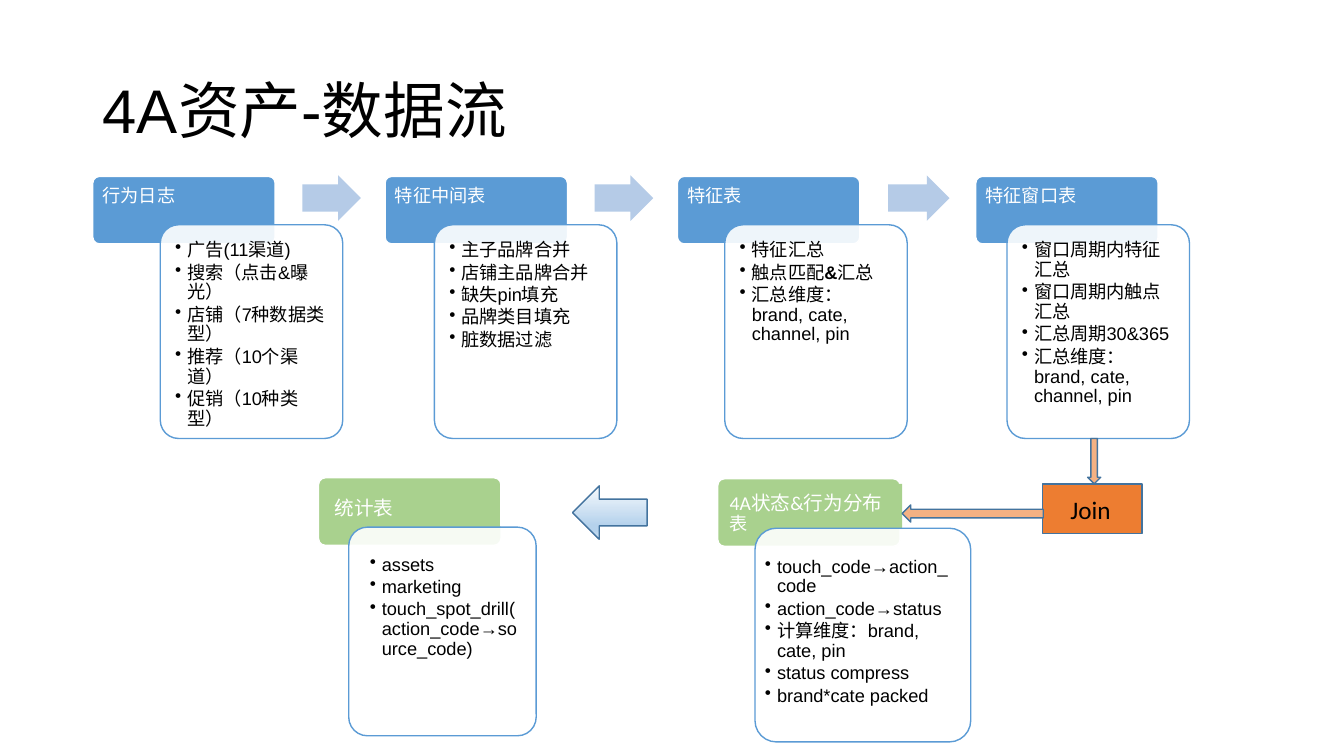
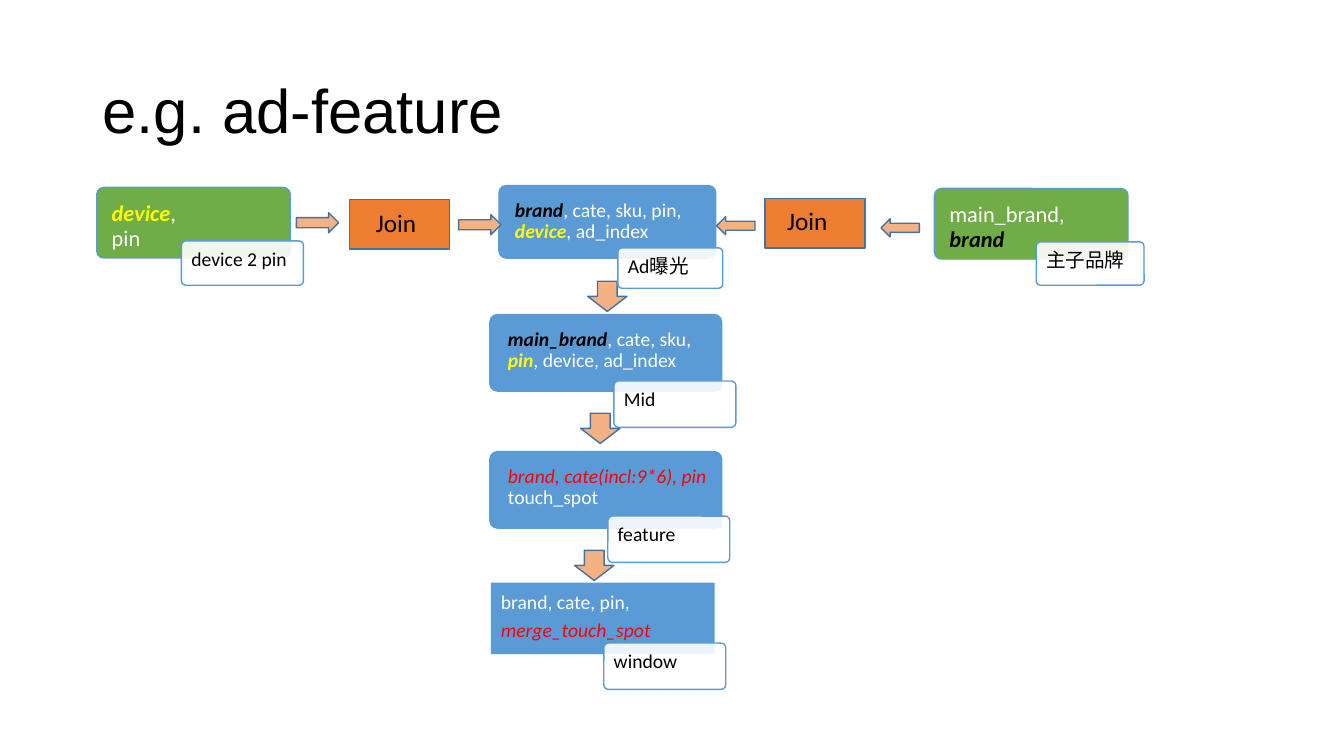
from dataclasses import dataclass, field
from typing import NamedTuple

from lxml import etree
from pptx import Presentation
from pptx import util as u
from pptx.dml import color
from pptx.enum import shapes, text
from pptx.oxml import ns

CELL = u.Inches(0.1)
COLUMNS, ROWS = 133.33, 75
FORM = shapes.MSO_SHAPE
COLORS = {
    "white": "FFFFFF", "black": "000000", "yellow": "FFFF00", "red": "FF0000",
    "blue": "5B9BD5", "green": "70AD47", "mint": "A9D18E", "pale": "B5CBE7",
    "orange": "ED7D31", "peach": "F4B183", "steel": "43739E",
    "ice": "F7FAFD", "sky": "B5D2EC", "mist": "CEE1F2",
}
GLAZE = ((0, "ice"), (74, "sky"), (83, "sky"), (100, "mist"))
KEY = {"bold": True, "italic": True}
ITALIC = {"italic": True}
HEAD_FRAME = {"margin_top": CELL}
PANEL_FRAME = {"margin_top": CELL, "margin_bottom": CELL}


class Box(NamedTuple):
    left: float
    top: float
    width: float
    height: float

    def adjusted(self, left: float, top: float, width: float, height: float) -> "Box":
        return Box(self.left + left, self.top + top, self.width + width, self.height + height)

    def lengths(self) -> list[int]:
        return [round(cells * CELL) for cells in self]


class Run(NamedTuple):
    words: str
    tone: str = "white"
    format: dict = {}


class Style(NamedTuple):
    size: float
    font: str = "Calibri"
    spacing: float = 0.9
    gap: float = 0
    bullet: bool = False


Paragraph = list[Run]
TITLE = Style(44, "Arial")
LOG_HEAD = Style(13, gap=0.35)
TABLE_HEAD = Style(14, gap=0.35)
KEY_HEAD = Style(16, gap=0.35)
BULLETS = Style(13, "Arial", gap=0.15, bullet=True)
TAG = Style(14, spacing=1)
JOIN = Style(18, spacing=1)


@dataclass
class Card:
    head: Box
    label: Box
    tone: str
    title: list[Paragraph]
    title_style: Style
    panel: Box
    body: Box
    lines: list[Paragraph]
    body_style: Style
    edge: str = "white"
    backed: bool = True
    label_filled: bool = True


@dataclass
class Arrow:
    form: shapes.MSO_SHAPE
    box: Box
    tone: str = "peach"
    edge: str | None = "steel"
    shaft: float = 0.5
    stops: tuple = field(default_factory=tuple)


@dataclass
class Join:
    box: Box
    text_left: float
    text_top: float


def rgb(tone: str) -> color.RGBColor:
    return color.RGBColor.from_string(COLORS[tone])


def draw_form(slide, form, box: Box, tone: str, edge: str | None = None, adjust=(), opacity=100):
    shape = slide.shapes.add_shape(form, *box.lengths())
    shape.shadow.inherit = False
    shape.fill.solid()
    shape.fill.fore_color.rgb = rgb(tone)
    if opacity < 100:
        paint = next(shape.element.iter(ns.qn("a:srgbClr")))
        etree.SubElement(paint, ns.qn("a:alpha"), val=str(opacity * 1000))
    if edge:
        shape.line.color.rgb = rgb(edge)
        shape.line.width = u.Pt(1)
    else:
        shape.line.fill.background()
    for index, share in enumerate(adjust):
        shape.adjustments[index] = share
    return shape


def draw_words(slide, box: Box, paragraphs: list[Paragraph], style: Style,
               frame_format: dict | None = None, tone: str | None = None) -> None:
    if tone:
        holder = draw_form(slide, FORM.RECTANGLE, box, tone)
    else:
        holder = slide.shapes.add_textbox(*box.lengths())
    frame = holder.text_frame
    settings = {"word_wrap": True, "vertical_anchor": text.MSO_ANCHOR.TOP} | (frame_format or {})
    for name, value in settings.items():
        setattr(frame, name, value)
    layout = {"alignment": text.PP_ALIGN.LEFT, "line_spacing": style.spacing,
              "space_after": u.Pt(style.size * style.gap), "level": int(style.bullet)}
    for index, runs in enumerate(paragraphs):
        paragraph = frame.add_paragraph() if index else frame.paragraphs[0]
        for name, value in layout.items():
            setattr(paragraph, name, value)
        if style.bullet:
            properties = paragraph._p.get_or_add_pPr()
            properties.set("marL", str(u.Inches(0.12)))
            properties.set("indent", str(-u.Inches(0.12)))
            etree.SubElement(properties, ns.qn("a:buChar"), char="•")
        for words, ink, extra in runs:
            if words == "\n":
                paragraph.add_line_break()
                continue
            run = paragraph.add_run()
            run.text = words
            run.font.color.rgb = rgb(ink)
            for name, value in ({"name": style.font, "size": u.Pt(style.size)} | extra).items():
                setattr(run.font, name, value)


def draw_card(slide, card: Card) -> None:
    if card.backed:
        draw_form(slide, FORM.ROUNDED_RECTANGLE, card.head, card.tone, card.edge, (0.1,))
    draw_words(slide, card.label, card.title, card.title_style, HEAD_FRAME,
               card.tone if card.label_filled else None)
    draw_form(slide, FORM.ROUNDED_RECTANGLE, card.panel, "white", "blue", (0.1,), 90)
    draw_words(slide, card.body, card.lines, card.body_style, PANEL_FRAME)


def draw_arrow(slide, arrow: Arrow) -> None:
    shape = draw_form(slide, arrow.form, arrow.box, arrow.tone, arrow.edge, (arrow.shaft, 0.5))
    if arrow.stops:
        shape.fill.gradient()
        shape.fill.gradient_angle = 270
        stop_list = next(shape.element.iter(ns.qn("a:gsLst")))
        for stop in list(stop_list):
            stop_list.remove(stop)
        for percent, tone in arrow.stops:
            stop = etree.SubElement(stop_list, ns.qn("a:gs"), pos=str(percent * 1000))
            etree.SubElement(stop, ns.qn("a:srgbClr"), val=COLORS[tone])


def draw_join(slide, join: Join) -> None:
    draw_form(slide, FORM.RECTANGLE, join.box, "orange", "steel")
    spot = Box(join.box.left + join.text_left, join.box.top + join.text_top, 8.1, 4)
    draw_words(slide, spot, [[Run("Join", "black")]], JOIN)


DRAWERS = {Card: draw_card, Arrow: draw_arrow, Join: draw_join}


def build_slide(deck, title: Paragraph, scene: list) -> None:
    slide = deck.slides.add_slide(deck.slide_layouts[6])
    draw_words(slide, Box(9.2, 4, 115, 14.5), [title], TITLE,
               {"vertical_anchor": text.MSO_ANCHOR.MIDDLE})
    for part in scene:
        DRAWERS[type(part)](slide, part)


def black_lines(*lines: str) -> list[Paragraph]:
    return [[Run(line, "black")] for line in lines]


def stage(left: float, panel_left: float, title: str, lines: list[Paragraph]) -> Card:
    head, panel = Box(left, 17.5, 18.1, 6.7), Box(panel_left, 22.3, 18.1, 21.2)
    return Card(head, head.adjusted(0, 0, 0, -2.2), "blue", [[Run(title)]], LOG_HEAD,
                panel, panel.adjusted(0.5, 0.6, -1.1, -1), lines, BULLETS, label_filled=False)


def result(head: Box, label: Box, title: Paragraph, panel: Box, body: Box, *lines: str) -> Card:
    return Card(head, label, "mint", [title], TABLE_HEAD, panel, body,
                black_lines(*lines), BULLETS)


def keyed(head: Box, inset: tuple[float, float], tone: str, title: list[Paragraph],
          tag: Box, name: str, style: Style = TABLE_HEAD, backed: bool = True) -> Card:
    near, far = inset
    label = head.adjusted(near, 0.5, -near - far, -0.5) if backed else head
    return Card(head, label, tone, title, style, tag, tag.adjusted(0, -0.4, 0, 0.4),
                black_lines(name), TAG, "blue", backed)


def flow_arrow(left: float, width: float = 5.8) -> Arrow:
    return Arrow(FORM.RIGHT_ARROW, Box(left, 17.4, width, 4.5), "pale", None, 0.6)


def down_arrow(left: float, top: float) -> Arrow:
    return Arrow(FORM.DOWN_ARROW, Box(left, top, 3.9, 3))


data_flow = [
    stage(9.2, 15.9, "行为日志", black_lines(
        "广告(11渠道)", "搜索（点击&曝光）", "店铺（7种数据类型）",
        "推荐（10个渠道）", "促销（10种类型）")),
    flow_arrow(30),
    stage(38.2, 43.1, "特征中间表", black_lines(
        "主子品牌合并", "店铺主品牌合并", "缺失pin填充", "品牌类目填充", "脏数据过滤")),
    flow_arrow(59),
    stage(67.2, 71.9, "特征表", [
        [Run("特征汇总", "black")],
        [Run("触点匹配", "black"), Run("&", "black", {"bold": True}), Run("汇总", "black")],
        [Run("汇总维度：brand, cate, channel, pin", "black")]]),
    flow_arrow(88.1, 6.1),
    stage(96.8, 99.9, "特征窗口表", black_lines(
        "窗口周期内特征汇总", "窗口周期内触点汇总", "汇总周期30&365",
        "汇总维度：brand, cate, channel, pin")),
    result(Box(71.2, 47.5, 18.1, 6.7), Box(71.4, 48, 18.1, 4.5),
           [Run("4A状态&行为分布"), Run("表", "white", {"size": u.Pt(13)})],
           Box(74.9, 52.4, 21.4, 21.2), Box(74.9, 54.3, 20.1, 20.2),
           "touch_code→action_code", "action_code→status", "计算维度：brand, cate, pin",
           "status compress", "brand*cate packed"),
    result(Box(31.6, 47.4, 18.1, 6.7), Box(32.2, 48.5, 16.4, 3.4), [Run("统计表")],
           Box(34.6, 52.3, 18.6, 20.7), Box(35.7, 54.1, 17, 20.2),
           "assets", "marketing", "touch_spot_drill(action_code→source_code)"),
    Arrow(FORM.LEFT_ARROW, Box(56.8, 48.2, 7.4, 5.3), "sky", stops=GLAZE),
    Join(Box(103.4, 48, 9.9, 4.9), 1.8, 0.6),
    Arrow(FORM.DOWN_ARROW, Box(107.9, 43.5, 1.3, 4.5)),
    Arrow(FORM.LEFT_ARROW, Box(89.5, 50.1, 14, 1.7)),
]

ad_feature = [
    keyed(Box(9.6, 18.6, 19.2, 7), (0.5, 0.8), "green",
          [[Run("device", "yellow", KEY), Run(","), Run("\n"), Run("pin")]],
          Box(18, 23.9, 12.1, 4.4), "device 2 pin", KEY_HEAD),
    Join(Box(75.9, 19.7, 9.9, 4.9), 1.2, 0.2),
    down_arrow(58.3, 27.9),
    Arrow(FORM.LEFT_ARROW, Box(87.4, 21.7, 3.8, 1.8)),
    keyed(Box(49.5, 18.4, 21.5, 7.2), (0.6, 0.8), "blue",
          [[Run("brand", "black", KEY), Run(", cate, sku, pin, "),
            Run("device", "yellow", KEY), Run(", ad_index")]],
          Box(61.3, 24.6, 10.4, 4), "Ad曝光"),
    keyed(Box(92.7, 18.7, 19.2, 7), (0.5, 0.8), "green",
          [[Run("main_brand, "), Run("brand", "black", KEY)]],
          Box(102.8, 24, 10.7, 4.3), "主子品牌", KEY_HEAD),
    Join(Box(34.7, 19.8, 9.9, 4.9), 1.6, 0.3),
    Arrow(FORM.LEFT_ARROW, Box(71.1, 21.5, 3.8, 1.8)),
    Arrow(FORM.RIGHT_ARROW, Box(29.4, 21.1, 4.2, 2)),
    Arrow(FORM.RIGHT_ARROW, Box(45.5, 21.3, 4.2, 2)),
    keyed(Box(48.6, 31.2, 23, 7.6), (0.8, 0), "blue",
          [[Run("main_brand", "black", KEY), Run(", cate, sku, "),
            Run("pin", "yellow", KEY), Run(", device, ad_index")]],
          Box(60.9, 37.8, 12.1, 4.6), "Mid"),
    down_arrow(57.6, 41),
    down_arrow(57, 54.6),
    keyed(Box(48.7, 57.8, 22.2, 7.1), (0, 0), "blue",
          [[Run("brand, cate, pin, ")], [Run("merge_touch_spot", "red", ITALIC)]],
          Box(59.9, 63.8, 12.1, 4.6), "window", backed=False),
    keyed(Box(48.6, 44.8, 23, 7.6), (0.8, 0), "blue",
          [[Run("brand, cate(incl:9*6), pin ", "red", ITALIC), Run("touch_spot")]],
          Box(60.3, 51.2, 12.1, 4.6), "feature"),
]

deck = Presentation()
deck.slide_width, deck.slide_height = round(COLUMNS * CELL), ROWS * CELL
build_slide(deck, [Run("4A资产-", "black"), Run("数据流", "black", {"name": "Calibri"})], data_flow)
build_slide(deck, [Run("e.g. ad-feature", "black")], ad_feature)
deck.save("out.pptx")
